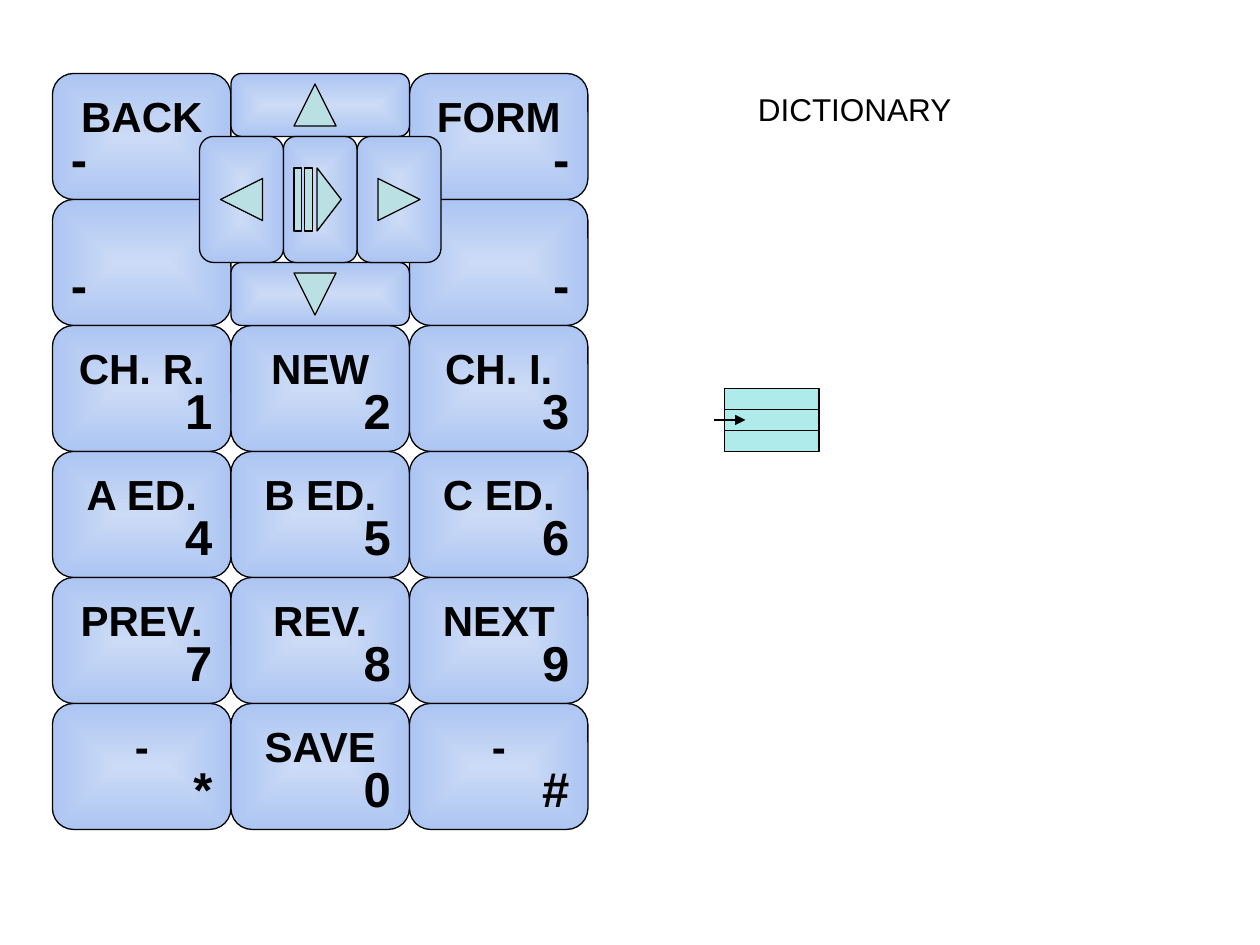
"""Build a slide of a phone keypad with its dictionary screen."""
import lxml.etree
import pptx
import pptx.dml.color
import pptx.enum.shapes
import pptx.enum.text
import pptx.oxml.ns
import pptx.util

KEYS = [
    [("BACK", "-"), None, ("FORM", "-")],
    [("", "-"), None, ("", "-")],
    [("CH. R.", "1"), ("NEW", "2"), ("CH. I.", "3")],
    [("A ED.", "4"), ("B ED.", "5"), ("C ED.", "6")],
    [("PREV.", "7"), ("REV.", "8"), ("NEXT", "9")],
    [("-", "*"), ("SAVE", "0"), ("-", "#")],
]
PADS = [(22, 7, 17, 6), (22, 25, 17, 6), (19, 13, 8, 12), (34, 13, 8, 12), (27, 13, 7, 12)]
ARROWS = [(28, 8, 0), (28, 26, 180), (36, 17, 90), (21, 17, 270)]
BARS = [29, 28]
TITLE = "DICTIONARY"
THEME = {
    "ink": "000000", "glow": "CCDBF6", "edge": "ACC5F2", "icon": "BBE0E3", "cell": "33CCCC",
    "alpha": "39000", "line": 0.75,
    "mark": {"name": "Arial", "size": pptx.util.Pt(28), "bold": True},
    "label": {"name": "Arial", "size": pptx.util.Pt(24), "bold": True},
    "title": {"name": "Arial", "size": pptx.util.Pt(18), "bold": False},
}
UNIT = 2.54 / 12
LEFT, TOP, WIDE, HIGH = 5, 7, 17, 12
KIND = pptx.enum.shapes.MSO_SHAPE
ALIGN = pptx.enum.text.PP_ALIGN
FIT = pptx.enum.text.MSO_AUTO_SIZE
qn = pptx.oxml.ns.qn


def grid(*cells):
    """Turn grid units into lengths."""
    return [pptx.util.Cm(cell * UNIT) for cell in cells]


def tint(name):
    """Give the theme colour of that name."""
    return pptx.dml.color.RGBColor.from_string(THEME[name])


def edge(item):
    """Draw the thin outline."""
    item.line.color.rgb = tint("ink")
    item.line.width = pptx.util.Pt(THEME["line"])


def block(shapes, kind, box, fill="icon", turn=0):
    """Add a plain outlined shape."""
    item = shapes.add_shape(kind, *grid(*box))
    item.shadow.inherit = False
    item.rotation = turn
    item.fill.solid()
    item.fill.fore_color.rgb = tint(fill)
    edge(item)
    return item


def write(item, text, style, align, **frame):
    """Put one styled line of text in a shape."""
    for name, value in frame.items():
        setattr(item.text_frame, name, value)
    para = item.text_frame.paragraphs[0]
    para.text = text
    para.alignment = align
    for name, value in THEME[style].items():
        setattr(para.font, name, value)
    para.font.color.rgb = tint("ink")


def button(shapes, box):
    """Add a rounded key that glows from its middle."""
    item = block(shapes, KIND.ROUNDED_RECTANGLE, box)
    item.adjustments[0] = 0.167
    item.fill.gradient()
    for stop, name, place in zip(item.fill.gradient_stops, ("glow", "edge"), (0, 1)):
        stop.color.rgb = tint(name)
        stop.position = place
    grad = item.element.spPr.find(qn("a:gradFill"))
    for old in grad.findall(qn("a:lin")):
        grad.remove(old)
    ring = lxml.etree.SubElement(grad, qn("a:path"), path="rect")
    lxml.etree.SubElement(ring, qn("a:fillToRect"), dict.fromkeys("ltrb", "50000"))
    return item


def label(shapes, box, text, style, align):
    """Add a text box that grows with its text."""
    item = shapes.add_textbox(*grid(*box))
    write(item, text, style, align, word_wrap=True, auto_size=FIT.SHAPE_TO_FIT_TEXT)


def keypad(shapes):
    """Lay out the keys, the cursor pads and the labels."""
    spots = [(LEFT + col * WIDE, TOP + row * HIGH, row, col, key)
             for row, line in enumerate(KEYS) for col, key in enumerate(line) if key]
    for x, y, row, col, (name, mark) in spots:
        item = button(shapes, (x, y, WIDE, HIGH))
        align = ALIGN.LEFT if row < 2 and col == 0 else ALIGN.RIGHT
        write(item, mark, "mark", align, word_wrap=False,
              vertical_anchor=pptx.enum.text.MSO_ANCHOR.BOTTOM)
    for box in PADS:
        button(shapes, box)
    for x, y, row, col, (name, mark) in spots:
        if name:
            label(shapes, (x + 1, y + 1, WIDE - 2, 6), name, "label", ALIGN.CENTER)


def icons(shapes):
    """Draw the play sign and the four arrows."""
    play = shapes.add_group_shape().shapes
    block(play, KIND.ISOSCELES_TRIANGLE, (28.35, 17.85, 6, 2.3), turn=90)
    for x in BARS:
        block(play, KIND.RECTANGLE, (x, 16, 0.75, 6))
    for x, y, turn in ARROWS:
        block(shapes, KIND.ISOSCELES_TRIANGLE, (x, y, 4, 4), turn=turn)


def screen(shapes):
    """Draw the list with its pointer and the title."""
    for row in range(3):
        item = block(shapes, KIND.RECTANGLE, (69, 37 + 2 * row, 9, 2), "cell")
        shade = item.element.spPr.find(qn("a:solidFill"))[0]
        lxml.etree.SubElement(shade, qn("a:alpha"), val=THEME["alpha"])
    line = shapes.add_connector(pptx.enum.shapes.MSO_CONNECTOR.STRAIGHT, *grid(68, 40, 71, 40))
    edge(line)
    lxml.etree.SubElement(line.line._get_or_add_ln(), qn("a:tailEnd"), type="triangle")
    lxml.etree.SubElement(line._element.spPr, qn("a:effectLst"))
    label(shapes, (71, 8, 41, 4.8), TITLE, "title", ALIGN.LEFT)


def main():
    """Build and save the slide."""
    deck = pptx.Presentation()
    deck.slide_width, deck.slide_height = grid(120, 90)
    shapes = deck.slides.add_slide(deck.slide_layouts[6]).shapes
    for draw in (keypad, icons, screen):
        draw(shapes)
    deck.save("out.pptx")


if __name__ == "__main__":
    main()
